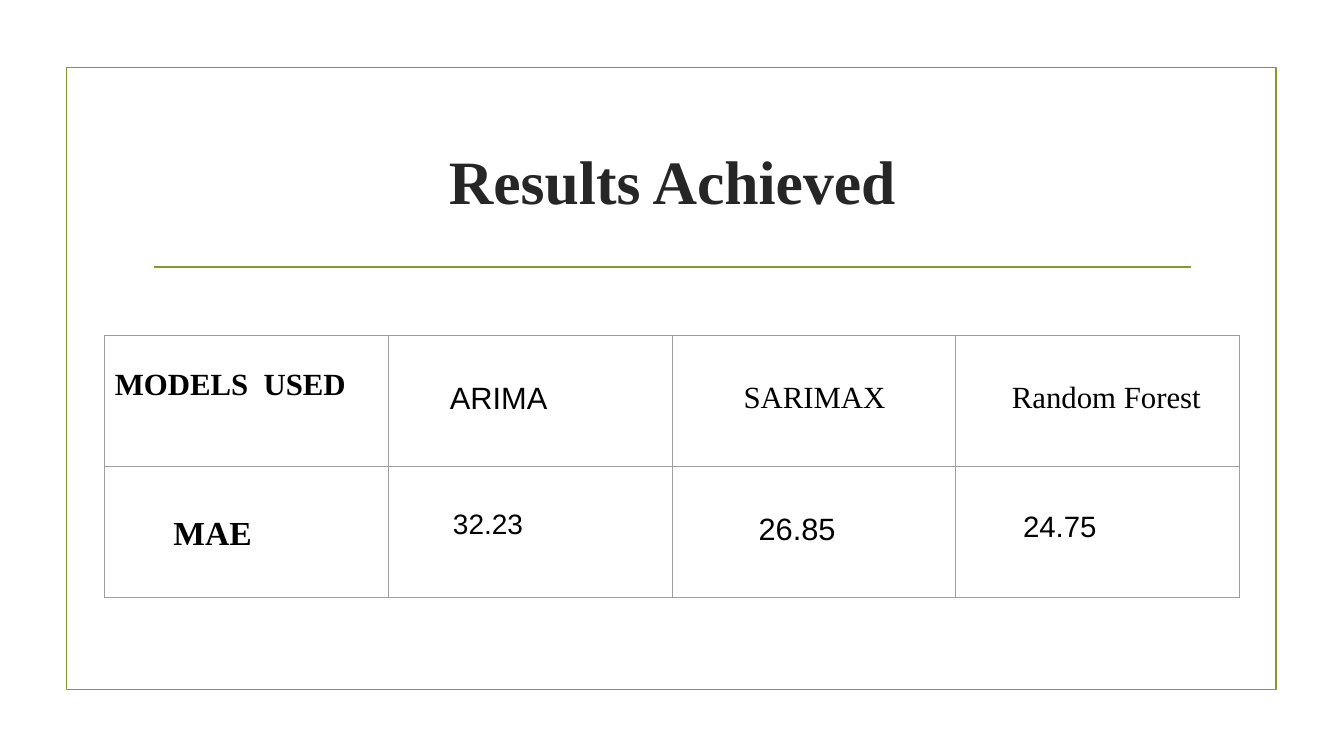
"""Builds the slide that compares the error of three forecasting models."""
from lxml.etree import SubElement
from pptx import Presentation
from pptx.dml.color import RGBColor
from pptx.enum.shapes import MSO_CONNECTOR, MSO_SHAPE
from pptx.enum.text import MSO_ANCHOR, PP_ALIGN
from pptx.oxml import parse_xml
from pptx.oxml.ns import nsdecls, qn
from pptx.util import Inches, Pt

OLIVE = RGBColor(0x83, 0x99, 0x2A)
CHARCOAL = RGBColor(0x26, 0x26, 0x26)
BLACK = RGBColor(0, 0, 0)
GRID_GRAY = RGBColor(0x9E, 0x9E, 0x9E)
SERIF, SANS = "Times New Roman", "Arial"
PADDING = 0.1
LINE_HEIGHT = 1.15 / 72

# Each entry: text, font, size, bold, left indent, size of the space above
RESULTS = [
    [("MODELS  USED", SERIF, 22, True, 0, 14),
     ("ARIMA", SANS, 22, False, 0.51, 22),
     ("SARIMAX", SERIF, 22, False, 0.61, 22),
     ("Random Forest", SERIF, 22, False, 0.46, 22)],
    [("MAE", SERIF, 24, True, 0.58, 24),
     ("32.23", SANS, 20, False, 0.54, 20),
     ("26.85", SANS, 22, False, 0.76, 22),
     ("24.75", SANS, 21, False, 0.57, 21)],
]


def add_frame(slide, left, top, width, height):
    """Draw the olive border and the rule under the heading."""
    border = slide.shapes.add_shape(
        MSO_SHAPE.RECTANGLE, Inches(left), Inches(top), Inches(width), Inches(height))
    border.shadow.inherit = False
    border.fill.background()
    rule_y = Inches(top + 1.98)
    rule = slide.shapes.add_connector(
        MSO_CONNECTOR.STRAIGHT, Inches(left + 0.87), rule_y,
        Inches(left + width - 0.85), rule_y)
    SubElement(rule.element.spPr, qn("a:effectLst"))
    for outline in (border.line, rule.line):
        outline.color.rgb = OLIVE
        outline.width = Pt(1.25)


def add_heading(slide, left, top, width, height):
    """Place the centred heading in its box."""
    heading = slide.shapes.add_textbox(
        Inches(left), Inches(top), Inches(width), Inches(height)).text_frame
    heading.word_wrap = True
    heading.vertical_anchor = MSO_ANCHOR.MIDDLE
    heading.text = "Results Achieved"
    line = heading.paragraphs[0]
    line.alignment = PP_ALIGN.CENTER
    set_font(line.font, SERIF, 44, True, CHARCOAL)


def set_font(font, name, size, bold, color):
    """Apply a typeface, size, weight and colour."""
    font.name, font.size, font.bold = name, Pt(size), bold
    font.color.rgb = color


def add_borders(cell):
    """Give a table cell thin gray lines on all four sides."""
    properties = cell._tc.get_or_add_tcPr()
    for position, side in enumerate(("lnL", "lnR", "lnT", "lnB")):
        properties.insert(position, parse_xml(
            f'<a:{side} {nsdecls("a")} w="{Pt(0.75)}"><a:solidFill>'
            f'<a:srgbClr val="{GRID_GRAY}"/></a:solidFill></a:{side}>'))


def add_results(slide, left, top, width, height):
    """Lay out the model table in equal columns and rows."""
    table = slide.shapes.add_table(
        len(RESULTS), len(RESULTS[0]), Inches(left), Inches(top),
        Inches(width), Inches(height)).table
    table.first_row = table.horz_banding = False
    for row, entries in enumerate(RESULTS):
        for column, (text, font, size, bold, indent, space) in enumerate(entries):
            cell = table.cell(row, column)
            cell.text = text
            cell.fill.background()
            cell.margin_left = Inches(PADDING + indent)
            cell.margin_top = Inches(PADDING + space * LINE_HEIGHT)
            cell.margin_right = cell.margin_bottom = Inches(PADDING)
            set_font(cell.text_frame.paragraphs[0].font, font, size, bold, BLACK)
            add_borders(cell)


def main():
    """Assemble and save the slide."""
    deck = Presentation()
    deck.slide_width, deck.slide_height = Inches(13.33), Inches(7.5)
    slide = deck.slides.add_slide(deck.slide_layouts[6])
    add_frame(slide, 0.66, 0.67, 12, 6.17)
    add_heading(slide, 1.42, 1.07, 10.5, 1.43)
    add_results(slide, 1.04, 3.33, 11.25, 2.6)
    deck.save("out.pptx")


if __name__ == "__main__":
    main()
